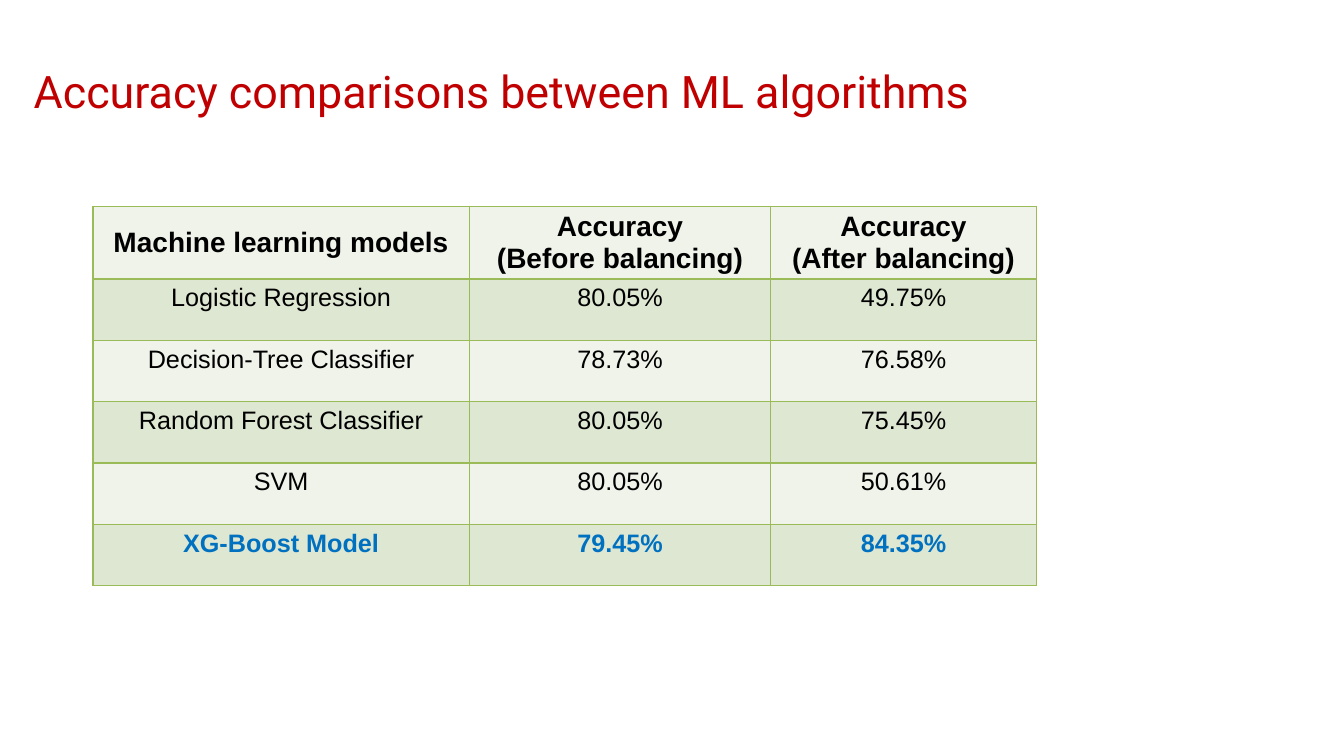
import pptx
import pptx.util
import pptx.dml.color
import pptx.enum.text
import pptx.oxml
import pptx.oxml.ns
from dataclasses import dataclass

Pt = pptx.util.Pt
Color = pptx.dml.color.RGBColor.from_string
Align = pptx.enum.text.PP_ALIGN
Anchor = pptx.enum.text.MSO_ANCHOR


@dataclass(frozen=True)
class Theme:
    """Colours, fonts and type sizes of the slide."""
    red: str = "C00000"
    black: str = "000000"
    blue: str = "0070C0"
    green: str = "9BBB59"
    bands: tuple = ("EFF3EA", "DEE7D1")
    title: str = "Roboto"
    body: str = "Arial"
    large: int = 32
    head: int = 20
    cell: int = 18


THEME = Theme()
ROWS = [
    ("Machine learning models", "Accuracy\n(Before balancing)", "Accuracy\n(After balancing)"),
    ("Logistic Regression", "80.05%", "49.75%"),
    ("Decision-Tree Classifier", "78.73%", "76.58%"),
    ("Random Forest Classifier", "80.05%", "75.45%"),
    ("SVM", "80.05%", "50.61%"),
    ("XG-Boost Model", "79.45%", "84.35%"),
]
SHARES = (3.73, 2.99, 2.63)


def assign(target, values):
    """Set each named attribute on the target."""
    for name, value in values.items():
        setattr(target, name, value)


def style(frame, font, size, color, bold, align):
    """Format every paragraph of a text frame."""
    for para in frame.paragraphs:
        para.alignment = align
        assign(para.font, dict(name=font, size=Pt(size), bold=bold))
        para.font.color.rgb = Color(color)


def border(cell):
    """Draw the four borders of a table cell."""
    props = cell._tc.get_or_add_tcPr()
    space = pptx.oxml.ns.nsdecls("a")
    for place, side in enumerate("LRTB"):
        line = pptx.oxml.parse_xml(
            f'<a:ln{side} {space} w="{Pt(1)}"><a:solidFill>'
            f'<a:srgbClr val="{THEME.green}"/></a:solidFill></a:ln{side}>')
        props.insert(place, line)


def add_title(slide, left, top, width, height):
    """Place the title in its box."""
    title = slide.shapes.title
    assign(title, dict(left=Pt(left), top=Pt(top), width=Pt(width), height=Pt(height)))
    frame = title.text_frame
    frame.text = "Accuracy comparisons between ML algorithms"
    assign(frame, dict(margin_left=0, margin_right=0, margin_top=0, margin_bottom=0,
                       vertical_anchor=Anchor.BOTTOM, word_wrap=True))
    style(frame, THEME.title, THEME.large, THEME.red, False, Align.LEFT)


def add_scores(slide, left, top, width, height):
    """Fill the box with the accuracy table."""
    table = slide.shapes.add_table(
        len(ROWS), len(SHARES), Pt(left), Pt(top), Pt(width), Pt(height)).table
    for column, share in zip(table.columns, SHARES):
        column.width = Pt(width * share / sum(SHARES))
    for r, row in enumerate(ROWS):
        head, best = r == 0, r == len(ROWS) - 1
        size = THEME.head if head else THEME.cell
        color = THEME.blue if best else THEME.black
        for c, text in enumerate(row):
            cell = table.cell(r, c)
            cell.text = text
            cell.vertical_anchor = Anchor.MIDDLE if head and c == 0 else Anchor.TOP
            cell.fill.solid()
            cell.fill.fore_color.rgb = Color(THEME.bands[r % 2])
            style(cell.text_frame, THEME.body, size, color, head or best, Align.CENTER)
            border(cell)


def main():
    """Build and save the slide."""
    deck = pptx.Presentation()
    assign(deck, dict(slide_width=Pt(960), slide_height=Pt(540)))
    slide = deck.slides.add_slide(deck.slide_layouts[5])
    add_title(slide, 24, 18.6, 936, 65)
    add_scores(slide, 66.4, 147.5, 673.8, 262.8)
    deck.save("out.pptx")


if __name__ == "__main__":
    main()
